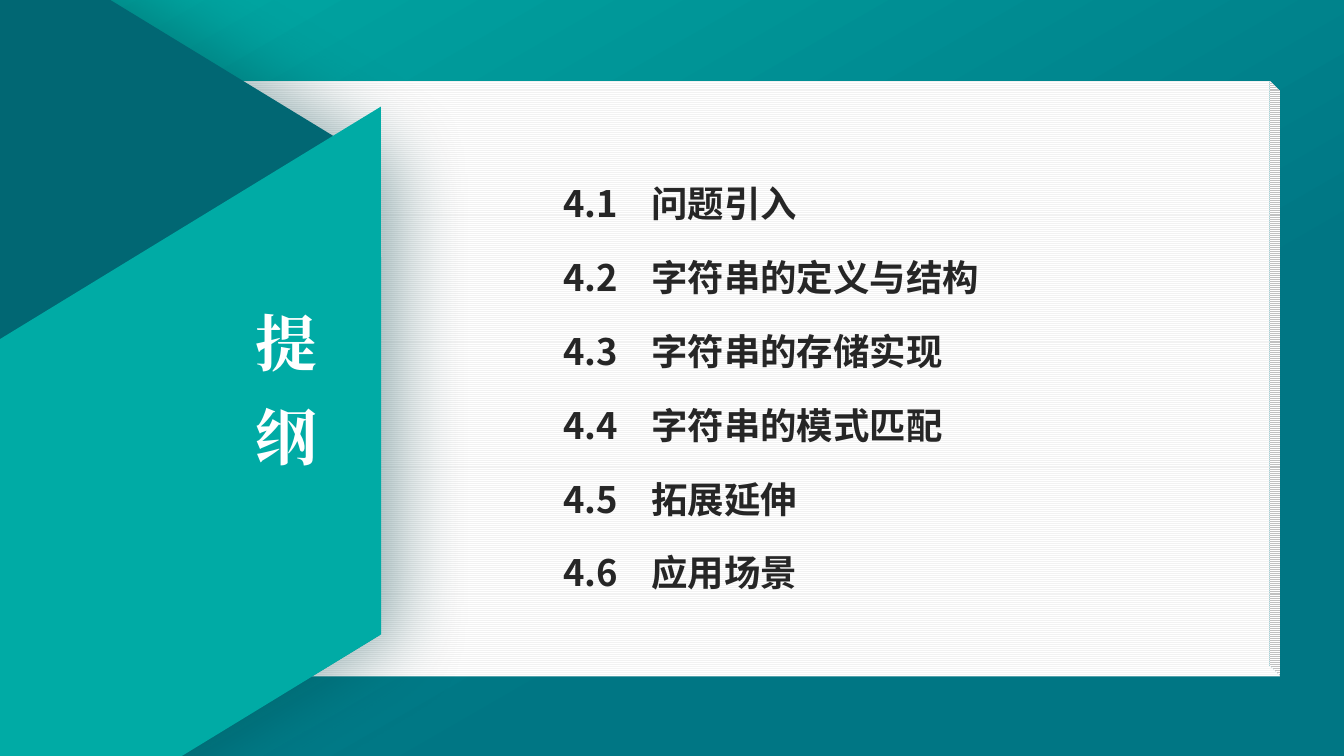
from lxml.etree import SubElement
from pptx import Presentation
from pptx.dml.color import RGBColor
from pptx.enum.dml import MSO_PATTERN
from pptx.enum.shapes import MSO_SHAPE
from pptx.enum.text import PP_ALIGN
from pptx.oxml.ns import qn
from pptx.util import Inches, Pt

TEAL = RGBColor(0x00, 0xAB, 0xA5)
DEEP_TEAL = RGBColor(0x00, 0x76, 0x84)
DARK_TEAL = RGBColor(0x01, 0x67, 0x73)
SHADOW_TEAL = RGBColor(0x01, 0x3F, 0x45)
PAPER = RGBColor(0xFF, 0xFF, 0xFF)
PAPER_LINE = RGBColor(0xF2, 0xF2, 0xF2)
INK = RGBColor(0x26, 0x26, 0x26)
BLACK = RGBColor(0x00, 0x00, 0x00)

SECTIONS = ["问题引入", "字符串的定义与结构", "字符串的存储实现",
            "字符串的模式匹配", "拓展延伸", "应用场景"]


class OutlinePage:
    body_font = "Noto Sans CJK SC"
    title_font = "Noto Serif CJK SC"

    def __init__(self, deck):
        self.page = deck.slides.add_slide(deck.slide_layouts[6])

    def gradient(self, fill, stops, angle):
        """Angle runs clockwise, in degrees."""
        fill.gradient()
        fill.gradient_angle = 360 - angle
        for stop, (position, color) in zip(fill.gradient_stops, stops):
            stop.position = position
            stop.color.rgb = color

    def shape(self, kind, box, adjustment, rotation=0):
        shape = self.page.shapes.add_shape(kind, *map(Inches, box))
        shape.adjustments[0] = adjustment
        shape.rotation = rotation
        shape.shadow.inherit = False
        shape.line.fill.background()
        return shape

    def cast_shadow(self, properties, color, opacity, blur, distance, angle):
        effects = properties.find(qn("a:effectLst"))
        if effects is None:
            effects = SubElement(properties, qn("a:effectLst"))
        outer = SubElement(effects, qn("a:outerShdw"), blurRad=str(Pt(blur)),
                           dist=str(Pt(distance)), dir=str(angle * 60000),
                           algn="ctr", rotWithShape="0")
        tint = SubElement(outer, qn("a:srgbClr"), val=str(color))
        SubElement(tint, qn("a:alpha"), val=str(opacity * 1000))

    def text(self, box, lines, font, size, color, spacing, before=0, tab=None,
             align=PP_ALIGN.LEFT):
        shape = self.page.shapes.add_textbox(*map(Inches, box))
        frame = shape.text_frame
        frame.word_wrap = True
        frame.margin_top = 0
        frame.text = "\n".join(lines)
        for index, para in enumerate(frame.paragraphs):
            para.alignment = align
            para.line_spacing = spacing
            para.space_before = Pt(before if index else 0)
            if tab:
                tabs = SubElement(para._p.get_or_add_pPr(), qn("a:tabLst"))
                SubElement(tabs, qn("a:tab"), pos=str(Inches(tab)), algn="l")
            for span in para.runs:
                span.font.size = Pt(size)
                span.font.bold = True
                span.font.name = font
                span.font.color.rgb = color
                SubElement(span._r.get_or_add_rPr(), qn("a:ea"), typeface=font)
        return shape


def main():
    deck = Presentation()
    deck.slide_width, deck.slide_height = Inches(13.33), Inches(7.5)
    outline = OutlinePage(deck)

    # Background
    outline.gradient(outline.page.background.fill,
                     [(0, TEAL), (0.67, DEEP_TEAL)], 60)

    # Stack of lined paper
    paper = outline.shape(MSO_SHAPE.CUBE, (0, 0.8, 12.7, 5.91), 0.018)
    paper._element.spPr.xfrm.set("flipV", "1")
    paper.fill.patterned()
    paper.fill.pattern = MSO_PATTERN.LIGHT_HORIZONTAL
    paper.fill.fore_color.rgb = PAPER_LINE
    paper.fill.back_color.rgb = PAPER

    # Folded ribbon on the left
    fold = outline.shape(MSO_SHAPE.HEXAGON, (-6.21, -0.79, 10.46, 9.51), 0.305, 90)
    outline.gradient(fold.fill, [(0.77, DARK_TEAL), (1, DEEP_TEAL)], 90)
    outline.cast_shadow(fold._element.spPr, SHADOW_TEAL, 40, 55, 13, 0)
    ribbon = outline.shape(MSO_SHAPE.PARALLELOGRAM, (-2.74, 2.89, 8.29, 4.47), 0.61, 328.6)
    ribbon.fill.solid()
    ribbon.fill.fore_color.rgb = TEAL

    # Vertical title
    title = outline.text((2.34, 2.83, 1, 1.9), "提纲", outline.title_font, 44, PAPER,
                         Pt(67), align=PP_ALIGN.CENTER)
    for para in title.text_frame.paragraphs:
        for span in para.runs:
            properties = span._r.get_or_add_rPr()
            outline.cast_shadow(properties, BLACK, 43, 3, 3, 45)
            properties.find(qn("a:solidFill")).addnext(properties.find(qn("a:effectLst")))

    # Section list
    outline.text((5.49, 1.58, 5.31, 4.33),
                 [f"4.{number}\t{name}" for number, name in enumerate(SECTIONS, 1)],
                 outline.body_font, 26, INK, 1.5, before=6, tab=0.87)

    deck.save("out.pptx")


if __name__ == "__main__":
    main()
